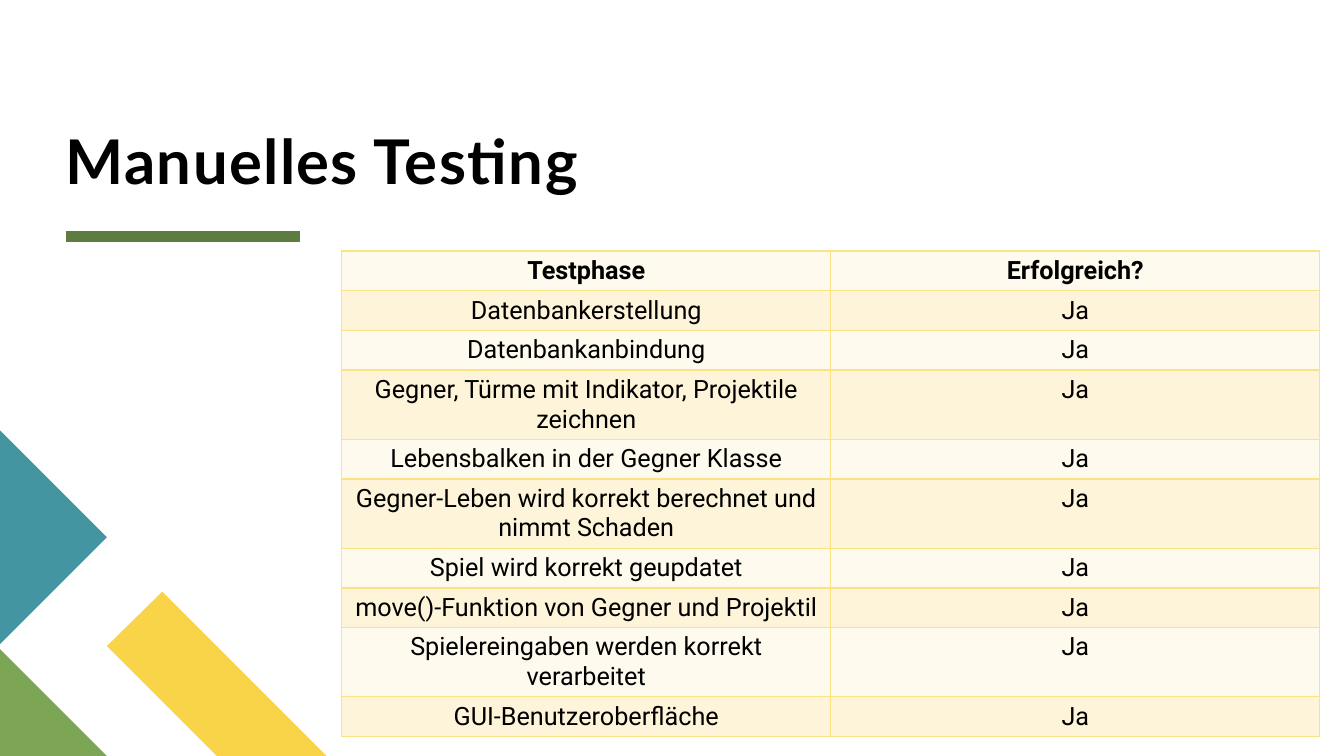
from lxml.etree import SubElement as Sub
from pptx import Presentation
from pptx.dml.color import RGBColor
from pptx.enum.text import MSO_ANCHOR as Anchor, MSO_AUTO_SIZE as Auto, PP_ALIGN as Align
from pptx.oxml import parse_xml
from pptx.oxml.ns import nsdecls, qn
from pptx.util import Inches, Pt

WIDE, HIGH = 13.33, 7.5
LEFT = 0.65
BLACK, EDGE = "000000", "FBE284"
BANDS = ["FEFAED", "FDF4D9"]


def color(code):
    return RGBColor.from_string(code)


def style(par, face, size, bold):
    for run in par.runs:
        font = run.font
        font.name, font.size, font.bold = face, Pt(size), bold
        font.color.rgb = color(BLACK)


prs = Presentation()
prs.slide_width, prs.slide_height = Inches(WIDE), Inches(HIGH)
slide = prs.slides.add_slide(prs.slide_layouts[5])
shapes = slide.shapes

# Green rule under the title
rule = shapes.add_connector(1, Inches(LEFT), Inches(2.35), Inches(2.98), Inches(2.35))
rule.line.color.rgb = color("5D7D40")
rule.line.width = Pt(8)
Sub(rule._element.spPr, qn("a:effectLst"))

# Corner ornament
corner = [
    ("F9D448", [(3.24, HIGH), (2.15, HIGH), (1.06, 6.41), (1.61, 5.87)]),
    ("7CA655", [(1.06, HIGH), (0, HIGH), (0, 6.44)]),
    ("4495A2", [(0, 4.27), (1.06, 5.33), (0, 6.39)]),
]
for fill, points in corner:
    dots = [(Inches(x), Inches(y)) for x, y in points]
    pen = shapes.build_freeform(*dots[0])
    pen.add_line_segments(dots[1:], close=True)
    piece = pen.convert_to_shape()
    piece.fill.solid()
    piece.fill.fore_color.rgb = color(fill)
    piece.line.fill.background()
    piece.shadow.inherit = False

# Title
title = shapes.title
title.left, title.top = Inches(LEFT), Inches(0.11)
title.width, title.height = Inches(11.89), Inches(1.84)
frame = title.text_frame
frame.text = "Manuelles Testing"
frame.auto_size, frame.word_wrap = Auto.NONE, True
frame.vertical_anchor = Anchor.BOTTOM
frame.margin_left = frame.margin_right = frame.margin_top = frame.margin_bottom = 0
head = frame.paragraphs[0]
head.alignment, head.line_spacing = Align.LEFT, 0.8
style(head, "Lato", 44, True)
head.runs[0].font._element.set("spc", "100")

# Test results
phases = [
    "Datenbankerstellung",
    "Datenbankanbindung",
    "Gegner, Türme mit Indikator, Projektile zeichnen",
    "Lebensbalken in der Gegner Klasse",
    "Gegner-Leben wird korrekt berechnet und nimmt Schaden",
    "Spiel wird korrekt geupdatet",
    "move()-Funktion von Gegner und Projektil",
    "Spielereingaben werden korrekt verarbeitet",
    "GUI-Benutzeroberfläche",
]
rows = [("Testphase", "Erfolgreich?")] + [(phase, "Ja") for phase in phases]
row_high = 0.37
table = shapes.add_table(len(rows), 2, Inches(3.39), Inches(2.49),
                         Inches(9.7), Inches(row_high * len(rows))).table
for r, row in enumerate(rows):
    table.rows[r].height = Inches(row_high)
    for c, text in enumerate(row):
        cell = table.cell(r, c)
        cell.text = text
        par = cell.text_frame.paragraphs[0]
        par.alignment = Align.CENTER
        style(par, "Roboto", 18, r == 0)
        cell.fill.solid()
        cell.fill.fore_color.rgb = color(BANDS[r % 2])
        props = cell._tc.get_or_add_tcPr()
        for spot, side in enumerate("LRTB"):
            props.insert(spot, parse_xml(
                f'<a:ln{side} {nsdecls("a")} w="{Pt(1)}"><a:solidFill>'
                f'<a:srgbClr val="{EDGE}"/></a:solidFill></a:ln{side}>'))

prs.save("out.pptx")
